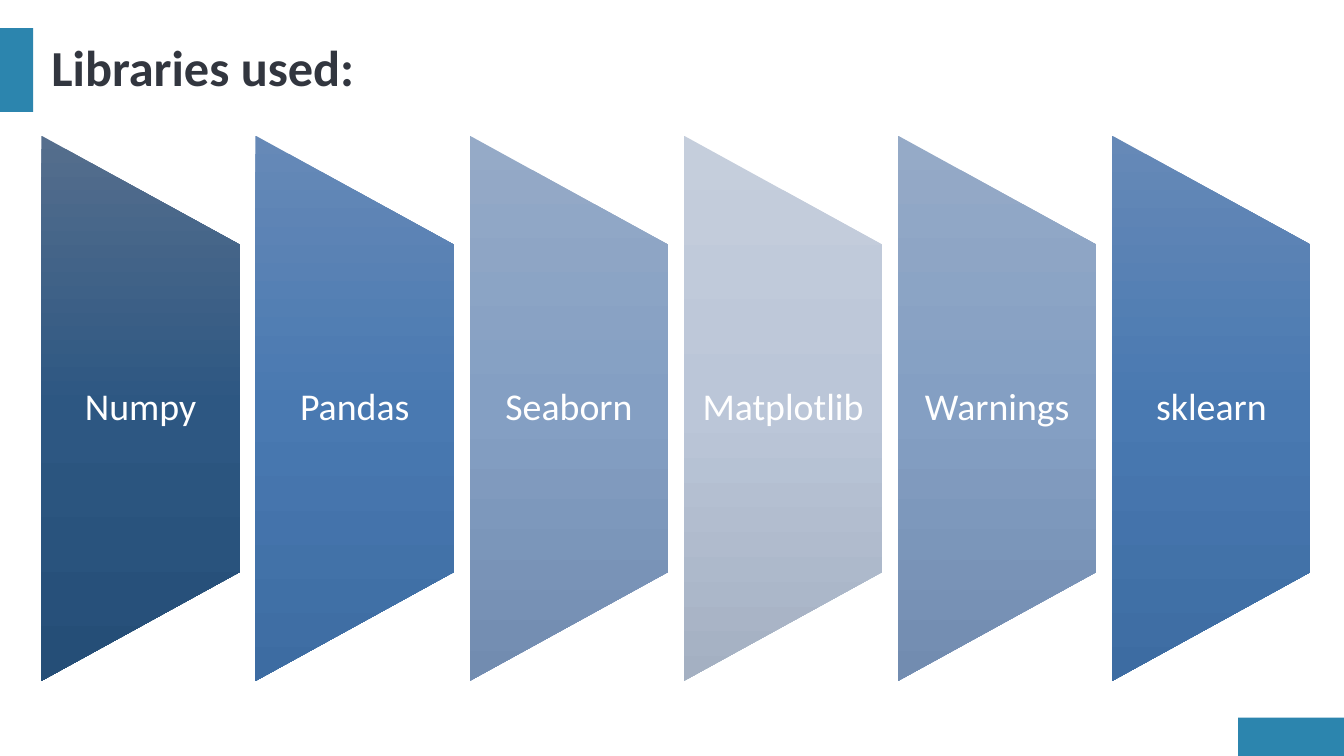
from lxml import etree
from pptx import Presentation
from pptx.dml.color import RGBColor
from pptx.enum.shapes import MSO_SHAPE
from pptx.enum.text import MSO_ANCHOR, MSO_AUTO_SIZE, PP_ALIGN
from pptx.oxml.ns import qn
from pptx.util import Inches, Pt

RECTANGLE = MSO_SHAPE.RECTANGLE
TRAPEZOID = MSO_SHAPE.FLOWCHART_MANUAL_OPERATION
CENTER, LEFT = PP_ALIGN.CENTER, PP_ALIGN.LEFT
MIDDLE = MSO_ANCHOR.MIDDLE

FONT = "Calibri"
COLORS = {"accent": "2C85AE", "title": "32363F", "label": "FFFFFF"}
GRADIENTS = {
    "navy": ("556E8D", "2D5782", "254E77"),
    "blue": ("6689B7", "4979B1", "3D6CA2"),
    "soft": ("95AAC7", "849FC3", "728CB0"),
    "pale": ("C5CEDC", "BBC6D8", "A4B0C2"),
}
LIBRARIES = [
    ("Numpy", "navy"), ("Pandas", "blue"), ("Seaborn", "soft"),
    ("Matplotlib", "pale"), ("Warnings", "soft"), ("sklearn", "blue"),
]

SLIDE_WIDTH, SLIDE_HEIGHT = 13.33, 7.5
MARGIN = 0.41
HEADER_TOP, HEADER_HEIGHT = 0.28, 0.83
PANELS_RIGHT = 13.0
PANEL_WIDTH, PANEL_HEIGHT = 1.97, 5.41
PANEL_PITCH = (PANELS_RIGHT - PANEL_WIDTH - MARGIN) / (len(LIBRARIES) - 1)
PANEL_MIDDLE = SLIDE_HEIGHT * 0.54
LABEL_HEIGHT = PANEL_HEIGHT * 0.6


def place(shape, left, top, width, height):
    shape.left, shape.top = Inches(left), Inches(top)
    shape.width, shape.height = Inches(width), Inches(height)


def write(shape, text, size, color, alignment, bold=False):
    frame = shape.text_frame
    frame.text = text
    frame.word_wrap = True
    frame.auto_size = MSO_AUTO_SIZE.NONE
    frame.vertical_anchor = MIDDLE
    paragraph = frame.paragraphs[0]
    paragraph.alignment = alignment
    paragraph.line_spacing = 0.9
    font = paragraph.runs[0].font
    font.name, font.size, font.bold = FONT, Pt(size), bold
    font.color.rgb = RGBColor.from_string(COLORS[color])


def add_plain_shape(slide, kind, left, top, width, height):
    shape = slide.shapes.add_shape(
        kind, Inches(left), Inches(top), Inches(width), Inches(height))
    shape.shadow.inherit = False
    shape.line.fill.background()
    return shape


def add_accent(slide, left, top, width, height):
    accent = add_plain_shape(slide, RECTANGLE, left, top, width, height)
    accent.fill.solid()
    accent.fill.fore_color.rgb = RGBColor.from_string(COLORS["accent"])


def fill_downwards(shape, colors):
    """Fill with evenly spaced stops running down the slide, whatever the rotation."""
    shape.fill.gradient()
    gradient = shape._element.spPr.find(qn("a:gradFill"))
    gradient.set("rotWithShape", "0")
    for child in list(gradient):
        gradient.remove(child)
    stops = etree.SubElement(gradient, qn("a:gsLst"))
    for index, color in enumerate(colors):
        position = 100000 * index // (len(colors) - 1)
        stop = etree.SubElement(stops, qn("a:gs"), pos=str(position))
        etree.SubElement(stop, qn("a:srgbClr"), val=color)
    etree.SubElement(gradient, qn("a:lin"), ang="5400000", scaled="0")


def add_panel(slide, column, name, gradient):
    left = MARGIN + column * PANEL_PITCH
    # The quarter turn swaps width and height around the panel's centre.
    panel = add_plain_shape(
        slide, TRAPEZOID,
        left + (PANEL_WIDTH - PANEL_HEIGHT) / 2, PANEL_MIDDLE - PANEL_WIDTH / 2,
        PANEL_HEIGHT, PANEL_WIDTH)
    panel.rotation = 270
    fill_downwards(panel, GRADIENTS[gradient])

    label = slide.shapes.add_textbox(
        Inches(left), Inches(PANEL_MIDDLE - LABEL_HEIGHT / 2),
        Inches(PANEL_WIDTH), Inches(LABEL_HEIGHT))
    write(label, name, 27, "label", CENTER)
    frame = label.text_frame
    frame.margin_left = frame.margin_right = Inches(0.15)
    frame.margin_top = frame.margin_bottom = 0


def main():
    presentation = Presentation()
    presentation.slide_width = Inches(SLIDE_WIDTH)
    presentation.slide_height = Inches(SLIDE_HEIGHT)
    slide = presentation.slides.add_slide(presentation.slide_layouts[5])

    add_accent(slide, 12.28, 7.12, SLIDE_WIDTH - 12.28, SLIDE_HEIGHT - 7.12)
    add_accent(slide, 0, HEADER_TOP, 0.33, HEADER_HEIGHT)
    title = slide.shapes.title
    place(title, MARGIN, HEADER_TOP, 12.6, HEADER_HEIGHT)
    write(title, "Libraries used:", 36, "title", LEFT, bold=True)

    for column, (name, gradient) in enumerate(LIBRARIES):
        add_panel(slide, column, name, gradient)

    presentation.save("out.pptx")


if __name__ == "__main__":
    main()
